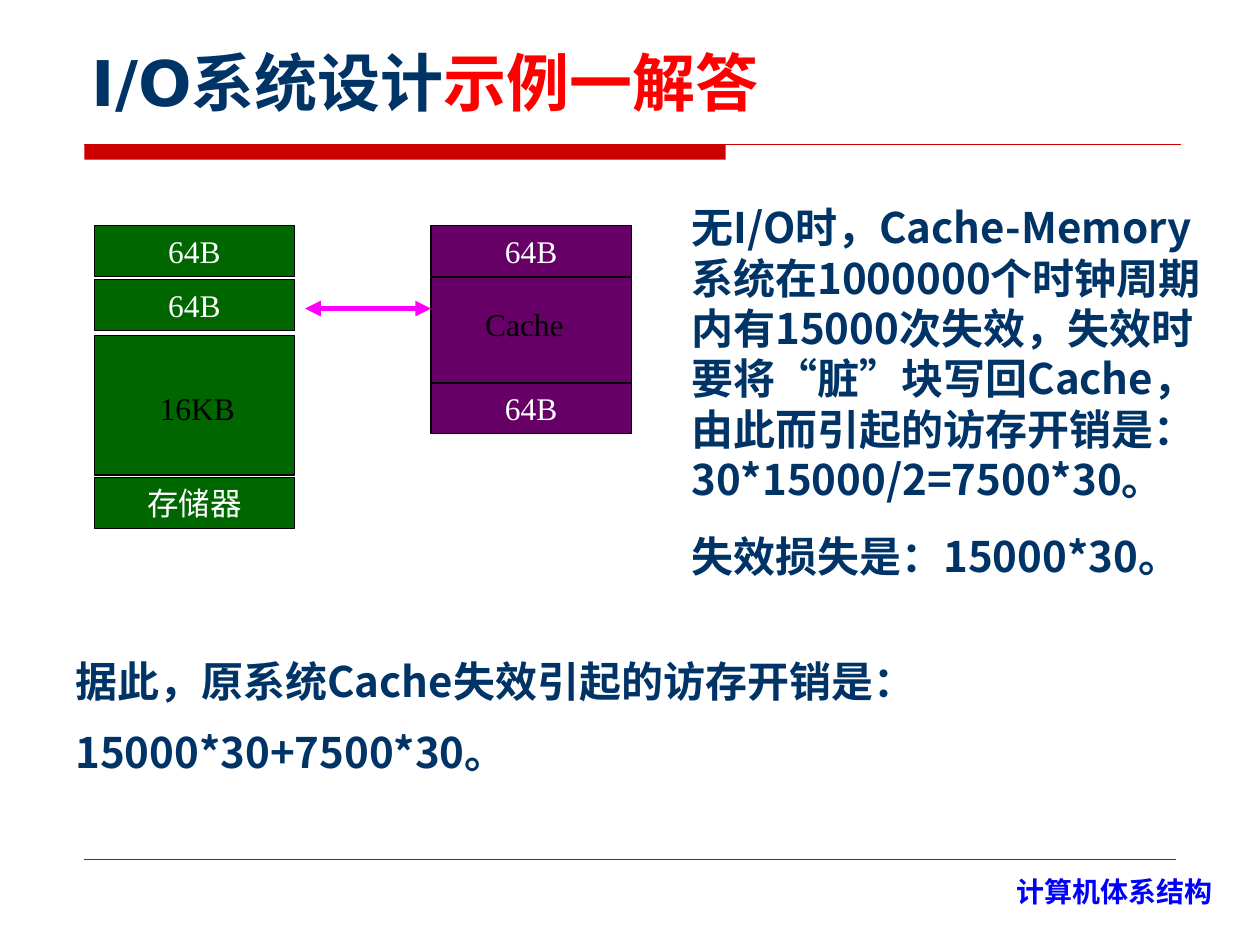
import pptx
import pptx.util
import pptx.dml.color
import pptx.enum.shapes
import pptx.enum.text
import pptx.oxml.ns
import lxml.etree

Cm = pptx.util.Cm
Pt = pptx.util.Pt
ALIGN = pptx.enum.text.PP_ALIGN
ANCHOR = pptx.enum.text.MSO_ANCHOR
RECTANGLE = pptx.enum.shapes.MSO_SHAPE.RECTANGLE
STRAIGHT = pptx.enum.shapes.MSO_CONNECTOR.STRAIGHT
qn = pptx.oxml.ns.qn

COLORS = {
    "navy": "003366", "red": "FF0000", "rule": "CC0000", "blue": "0000FF",
    "memory": "006600", "cache": "660066", "arrow": "FF00FF",
    "white": "FFFFFF", "black": "000000",
}
HAN_FONT = "Noto Sans CJK SC"
LABEL_FONT = "Times New Roman"

TITLE = [("I/O系统设计", "navy"), ("示例一解答", "red")]
FOOTER = "计算机体系结构"
MISS_COST = [
    "无I/O时，Cache-Memory系统在1000000个时钟周期内有15000次失效，失效时要将“脏”块写回Cache，由此而引起的访存开销是：30*15000/2=7500*30。",
    "失效损失是：15000*30。",
]
CONCLUSION = ["据此，原系统Cache失效引起的访存开销是：", "15000*30+7500*30。"]

BLOCK_WIDTH = 4.04
ROW = 1.02
STACKS = [
    ("memory", 1.9, [("64B", 4.55, ROW), ("64B", 5.64, ROW),
                     ("存储器", 9.63, ROW), ("", 6.76, 2.82)]),
    ("cache", 8.69, [("64B", 4.55, ROW), ("", 5.59, 2.18), ("64B", 7.72, ROW)]),
]
BLOCK_LABELS = [("Cache", 9.53, 6.02, 2.74), ("16KB", 2.97, 7.72, 2.11)]


def rgb(name):
    return pptx.dml.color.RGBColor.from_string(COLORS[name])


def style(paragraph, size, face, color=None, bold=False):
    font = paragraph.font
    font.size, font.name, font.bold = Pt(size), face, bold
    if color:
        font.color.rgb = rgb(color)
    properties = paragraph._p.pPr.find(qn("a:defRPr"))
    east_asian = lxml.etree.Element(qn("a:ea"), typeface=HAN_FONT)
    properties.find(qn("a:latin")).addnext(east_asian)


def add_text(slide, lines, left, top, width, height, size, face, color,
             bold=False, align=ALIGN.LEFT, pitch=None):
    frame = slide.shapes.add_textbox(Cm(left), Cm(top), Cm(width), Cm(height)).text_frame
    frame.word_wrap = True
    for index, line in enumerate(lines):
        paragraph = frame.add_paragraph() if index else frame.paragraphs[0]
        paragraph.text = line
        paragraph.alignment = align
        if pitch:
            paragraph.line_spacing = Pt(pitch)
        if index:
            paragraph.space_before = Pt(15)
        style(paragraph, size, face, color, bold)


def add_box(slide, left, top, width, height, fill, outline=None):
    box = slide.shapes.add_shape(RECTANGLE, Cm(left), Cm(top), Cm(width), Cm(height))
    box.shadow.inherit = False
    box.fill.solid()
    box.fill.fore_color.rgb = rgb(fill)
    if outline:
        box.line.color.rgb = rgb(outline)
        box.line.width = Pt(0.75)
    else:
        box.line.fill.background()
    return box


def add_line(slide, start, end, y, color, weight, arrows=False):
    line = slide.shapes.add_connector(STRAIGHT, Cm(start), Cm(y), Cm(end), Cm(y))
    line.line.color.rgb = rgb(color)
    line.line.width = Pt(weight)
    properties = line._element.spPr
    if arrows:
        for tip in ("a:headEnd", "a:tailEnd"):
            lxml.etree.SubElement(properties.find(qn("a:ln")), qn(tip), type="triangle")
    lxml.etree.SubElement(properties, qn("a:effectLst"))


def add_title(slide):
    title = slide.shapes.title
    title.left, title.top, title.width, title.height = Cm(1.6), Cm(0.84), Cm(22.23), Cm(1.68)
    frame = title.text_frame
    frame.auto_size = pptx.enum.text.MSO_AUTO_SIZE.NONE
    frame.vertical_anchor = ANCHOR.BOTTOM
    paragraph = frame.paragraphs[0]
    paragraph.alignment = ALIGN.LEFT
    for text, color in TITLE:
        run = paragraph.add_run()
        run.text = text
        run.font.color.rgb = rgb(color)
    style(paragraph, 36, "DejaVu Sans", bold=True)


def add_stacks(slide):
    for color, left, blocks in STACKS:
        for label, top, height in blocks:
            block = add_box(slide, left, top, BLOCK_WIDTH, height, color, "black")
            if label:
                block.text_frame.vertical_anchor = ANCHOR.MIDDLE
                paragraph = block.text_frame.paragraphs[0]
                paragraph.text = label
                paragraph.alignment = ALIGN.CENTER
                style(paragraph, 18, LABEL_FONT, "white")
    for label, left, top, width in BLOCK_LABELS:
        add_text(slide, [label], left, top, width, ROW, 18, LABEL_FONT, "black")


def main():
    deck = pptx.Presentation()
    deck.slide_width, deck.slide_height = Cm(25.4), Cm(19.05)
    slide = deck.slides.add_slide(deck.slide_layouts[5])
    add_box(slide, 1.7, 2.92, 12.93, 0.3, "rule")
    add_line(slide, 1.7, 23.8, 2.92, "rule", 0.75)
    add_line(slide, 1.7, 23.7, 17.32, "rule", 0.25)
    add_text(slide, [FOOTER], 18.47, 17.5, 6.22, 1.09, 16, HAN_FONT, "blue",
             bold=True, align=ALIGN.RIGHT)
    add_title(slide)
    add_text(slide, MISS_COST, 13.69, 3.94, 11.23, 8.92, 24, HAN_FONT, "navy",
             bold=True, pitch=28.8)
    add_stacks(slide)
    add_line(slide, 8.69, 6.15, 6.22, "arrow", 3, arrows=True)
    add_text(slide, CONCLUSION, 1.27, 13.21, 23.06, 2.62, 24, HAN_FONT, "navy",
             bold=True, pitch=25.5)
    deck.save("out.pptx")


if __name__ == "__main__":
    main()
